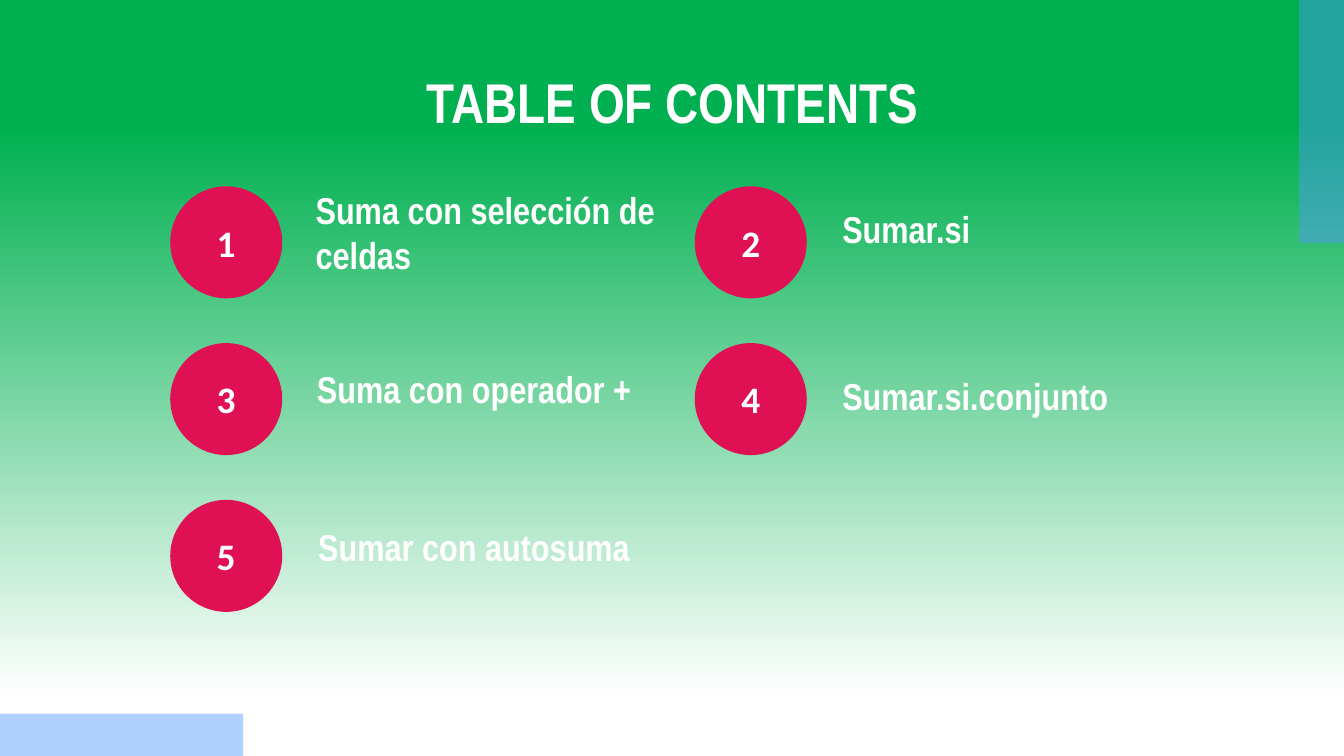
import copy
from typing import NamedTuple

import lxml.etree
import pptx
import pptx.dml.color
import pptx.enum.shapes
import pptx.enum.text
import pptx.oxml.ns
import pptx.util

Pt = pptx.util.Pt
Shape = pptx.enum.shapes.MSO_SHAPE
Align = pptx.enum.text.PP_ALIGN
Anchor = pptx.enum.text.MSO_ANCHOR
qn = pptx.oxml.ns.qn

WHITE, GREEN, RED, BLUE = "FFFFFF", "00B050", "DF1054", "5297FF"
HEAD, DIGIT = "Arial Narrow", "Calibri"
LEFT, TOP = 91.2, 99.8
COL_GAP, ROW_GAP = 281, 84
DISC = 60
NUM_W, NUM_H = 57.6, 36


class Box(NamedTuple):
    left: float
    top: float
    width: float
    height: float


class Topic(NamedTuple):
    label: str
    box: Box


BARS = [Box(0, 382.3, 130.3, 22.7), Box(696, 0, 24, 130.3)]
TOPICS = [
    Topic("Suma con selección de celdas", Box(162, 126.7, 198, 28.8)),
    Topic("Sumar.si", Box(444.2, 113, 184.3, 28.8)),
    Topic("Suma con operador +", Box(162.7, 198.7, 184.3, 28.8)),
    Topic("Sumar.si.conjunto", Box(444.2, 202.3, 184.3, 28.8)),
    Topic("Sumar con autosuma", Box(163.4, 283, 184.3, 28.8)),
]


def color(code: str) -> pptx.dml.color.RGBColor:
    return pptx.dml.color.RGBColor.from_string(code)


def fade(slide) -> None:
    """Fill the background with green running down to white."""
    fill = slide.background.fill
    fill.gradient()
    fill.gradient_angle = 270
    first = slide.background._cSld.find(".//" + qn("a:gs"))
    first.addnext(copy.deepcopy(first))
    stops = [(0, GREEN), (0.17, GREEN), (0.92, WHITE)]
    for stop, (place, code) in zip(fill.gradient_stops, stops):
        stop.position = place
        stop.color.rgb = color(code)


def draw(slide, kind, box: Box, code: str):
    shape = slide.shapes.add_shape(kind, *map(Pt, box))
    shape.shadow.inherit = False
    shape.fill.solid()
    shape.fill.fore_color.rgb = color(code)
    shape.line.fill.background()
    return shape


def write(slide, text: str, box: Box, size: float, face: str,
          align=Align.LEFT, anchor=Anchor.BOTTOM) -> None:
    frame = slide.shapes.add_textbox(*map(Pt, box)).text_frame
    frame.word_wrap = True
    frame.vertical_anchor = anchor
    frame.margin_left = frame.margin_right = Pt(7.2)
    frame.margin_top = frame.margin_bottom = Pt(7.2)
    line = frame.paragraphs[0]
    line.text = text
    line.alignment = align
    line.font.name = face
    line.font.size = Pt(size)
    line.font.bold = True
    line.font.color.rgb = color(WHITE)


def main() -> None:
    deck = pptx.Presentation()
    deck.slide_width, deck.slide_height = Pt(720), Pt(405)
    slide = deck.slides.add_slide(deck.slide_layouts[6])
    fade(slide)

    for box in BARS:
        bar = draw(slide, Shape.RECTANGLE, box, BLUE)
        tint = bar._element.spPr.find(".//" + qn("a:srgbClr"))
        lxml.etree.SubElement(tint, qn("a:alpha")).set("val", "45000")

    write(slide, "TABLE OF CONTENTS", Box(56.9, 28.8, 607, 43.2), 30, HEAD,
          Align.CENTER, Anchor.TOP)

    for index, topic in enumerate(TOPICS):
        row, col = divmod(index, 2)
        left, top = LEFT + col * COL_GAP, TOP + row * ROW_GAP
        disc = draw(slide, Shape.ROUNDED_RECTANGLE,
                    Box(left, top, DISC, DISC), RED)
        disc.adjustments[0] = 0.5
        spot = Box(left + (DISC - NUM_W) / 2, top + (DISC - NUM_H) / 2,
                   NUM_W, NUM_H)
        write(slide, str(index + 1), spot, 20, DIGIT,
              Align.CENTER, Anchor.MIDDLE)
        write(slide, topic.label, topic.box, 20, HEAD)

    deck.save("out.pptx")


if __name__ == "__main__":
    main()
